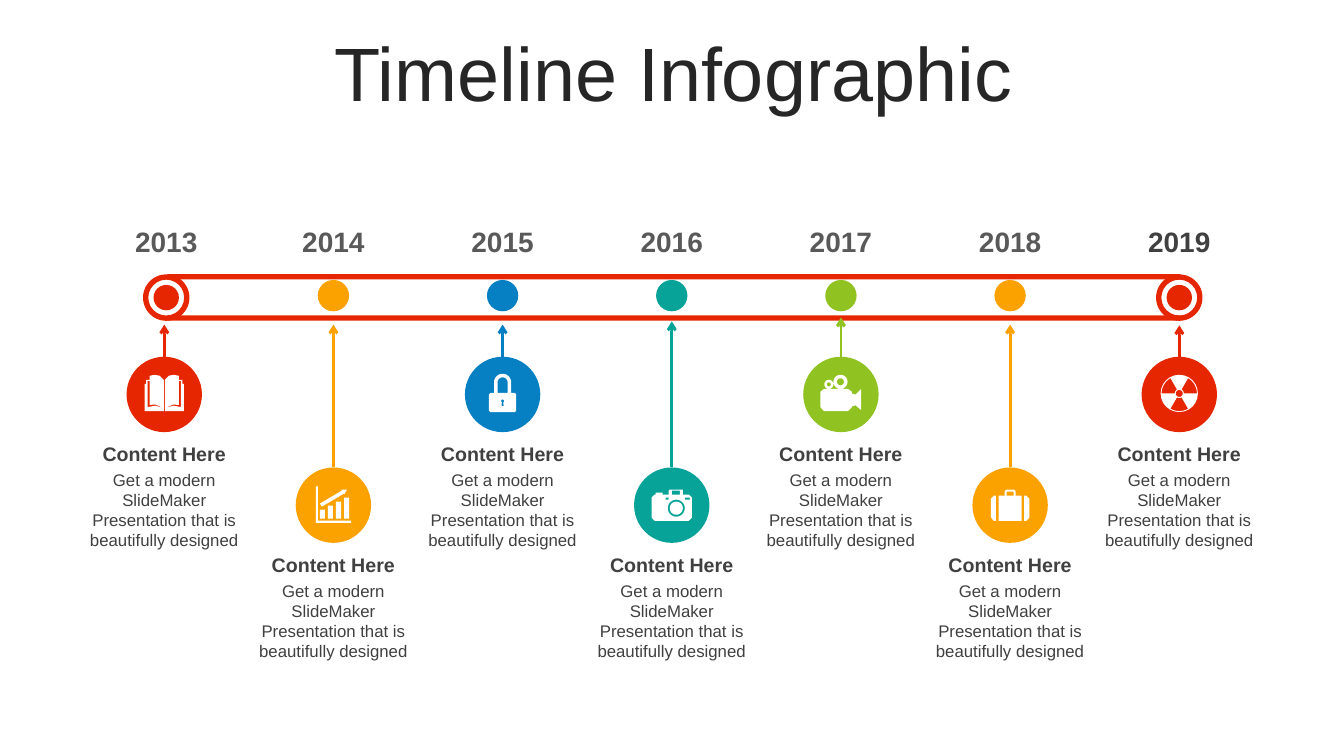
from dataclasses import dataclass
from math import cos, radians, sin

from lxml.etree import SubElement
from pptx import Presentation
from pptx.dml.color import RGBColor
from pptx.enum.shapes import MSO_CONNECTOR, MSO_SHAPE
from pptx.enum.text import MSO_ANCHOR, MSO_AUTO_SIZE, PP_ALIGN
from pptx.oxml.ns import qn
from pptx.util import Cm, Pt


@dataclass(frozen=True)
class Theme:
    """Colours, font and type sizes of the deck."""
    font: str = "Arial"
    red: str = "E62601"
    orange: str = "FBA200"
    blue: str = "0680C3"
    teal: str = "07A398"
    green: str = "90C221"
    white: str = "FFFFFF"
    title: str = "262626"
    dark: str = "404040"
    grey: str = "595959"
    title_size: int = 54
    year_size: int = 20
    heading_size: int = 14
    body_size: int = 12


@dataclass(frozen=True)
class Box:
    """A region in centimetres."""
    left: float
    top: float
    width: float
    height: float

    def lengths(self):
        """Return the region as slide lengths."""
        return Cm(self.left), Cm(self.top), Cm(self.width), Cm(self.height)


@dataclass(frozen=True)
class Stage:
    """One year of the timeline."""
    year: str
    color: str
    icon: list
    low: bool = False
    end: bool = False
    tip: float = 2.67
    shift: float = 0
    year_color: str = Theme.grey


THEME = Theme()
ICON_UNIT = Cm(0.0254)
LOW_DROP = 2.79
HEADING = "Content Here"
BODY = "Get a modern SlideMaker Presentation that is beautifully designed"


def arc(x, y, radius, start, stop, steps=24):
    """Return points along an arc, with angles in degrees."""
    angles = [radians(start + (stop - start) * i / steps) for i in range(steps + 1)]
    return [(x + radius * cos(a), y + radius * sin(a)) for a in angles]


def ring(x, y, radius):
    """Return a closed circular contour."""
    return arc(x, y, radius, 0, 360)


def bar(left, top, width, height):
    """Return a rectangular contour."""
    right, bottom = left + width, top + height
    return [(left, top), (right, top), (right, bottom), (left, bottom)]


def mirrored(*contours):
    """Return the contours with their reflections across the vertical axis."""
    return [*contours, *[[(-x, y) for x, y in contour] for contour in contours]]


BOOK = mirrored(
    [(-19.5, -10.5), (-18, -10.5), (-18, -14.5), (-14.5, -14.5), (-14.5, -18.5),
     (-9.5, -19.5), (-4.5, -18.5), (-0.5, -14.5), (-0.5, 16.5), (-19.5, 16.5)],
    [(-16.5, -13.5), (-14.5, -13.5), (-14.5, 10.5), (-9, 10), (-0.5, 13.5),
     (-9, 11.2), (-16.5, 12.5)])
CHART = [
    *[bar(-13.5 + 8 * i, 4.5 - 4 * i, 5, 9 + 4 * i) for i in range(4)],
    [(7.5, -15.5), (13.5, -15.5), (10.5, -10.5), (10.5, -11.5), (-11.5, 1.5),
     (-13.5, -1.5), (8.5, -14.5)],
    [(-17.5, -18.5), (-15.5, -18.5), (-15.5, 15.5), (17.5, 15.5), (17.5, 17.5),
     (-17.5, 17.5)]]
LOCK = [
    [(-8.5, -1.5), *arc(0, -12, 8.5, 180, 360), (8.5, -1.5), (12, -1.5), (13.5, 0),
     (13.5, 16), (12, 17.5), (-12, 17.5), (-13.5, 16), (-13.5, 0), (-12, -1.5)],
    [(-5, -1.5), *arc(0, -12, 5, 180, 360), (5, -1.5)],
    [*arc(0, 6.5, 1.5, 120, 420), (1, 11.5), (-1, 11.5)]]
CAMERA = [
    [(-2, -15.5), (11, -15.5), (11, -10.5), (17, -10.5), (20, -7.5), (20, 12.5),
     (17, 15.5), (-17, 15.5), (-20, 12.5), (-20, -7.5), (-17, -10.5), (-16, -10.5),
     (-16, -12.5), (-9, -12.5), (-9, -10.5), (-3, -10.5), (-3, -14.5)],
    ring(4.5, 3, 8.5), ring(4.5, 3, 6.5),
    bar(-6, -7.5, 3, 2), bar(13, -7.5, 5, 2), bar(0, -14.5, 8, 4)]
VIDEO = [
    ring(-12, -10, 4.5), ring(-12, -10, 2), ring(-0.5, -12.5, 7), ring(-0.5, -12.5, 3.5),
    [(-17, -5.5), (7, -5.5), (11, -2.5), (11, -0.5), (13, -0.5), (14, 0.5), (20, -5.5),
     (20, 15.5), (14, 10.5), (13, 11.5), (11, 11.5), (11, 12.5), (7, 16.5), (-17, 16.5),
     (-20.5, 12.5), (-20.5, -2.5)]]
SUITCASE = [
    *mirrored([(14, -9.5), (16, -9.5), (19, -6.5), (19, 12.5), (16, 15.5), (14, 15.5)]),
    [(-4, -15.5), (4, -15.5), (5.5, -13.5), (5.5, -9.5), (11.5, -9.5), (11.5, 15.5),
     (-11.5, 15.5), (-11.5, -9.5), (-5.5, -9.5), (-5.5, -13.5)],
    bar(-3.5, -13.5, 7, 4)]
RADIATION = [
    ring(0, -1, 18.5), ring(0, -1, 3.5),
    *[arc(0, -1, 17.5, a, a + 60) + arc(0, -1, 4.5, a + 60, a) for a in (60, 180, 300)]]

STAGES = [
    Stage("2013", THEME.red, BOOK, end=True, shift=0.05),
    Stage("2014", THEME.orange, CHART, low=True),
    Stage("2015", THEME.blue, LOCK),
    Stage("2016", THEME.teal, CAMERA, low=True, tip=2.59),
    Stage("2017", THEME.green, VIDEO, tip=2.49),
    Stage("2018", THEME.orange, SUITCASE, low=True),
    Stage("2019", THEME.red, RADIATION, end=True, tip=2.69, year_color=THEME.dark)]


def write(frame, text, *, size, color, bold=False, anchor=MSO_ANCHOR.MIDDLE,
          fit=MSO_AUTO_SIZE.SHAPE_TO_FIT_TEXT, spacing=1.0):
    """Put centred text into a frame with the given format."""
    frame.word_wrap = True
    frame.auto_size = fit
    frame.vertical_anchor = anchor
    para = frame.paragraphs[0]
    para.alignment = PP_ALIGN.CENTER
    para.line_spacing = spacing
    span = para.add_run()
    span.text = text
    span.font.name = THEME.font
    span.font.size = Pt(size)
    span.font.bold = bold
    span.font.color.rgb = RGBColor.from_string(color)


def paint(shape, color):
    """Give a shape a plain fill without line or shadow."""
    shape.shadow.inherit = False
    shape.fill.solid()
    shape.fill.fore_color.rgb = RGBColor.from_string(color)
    shape.line.fill.background()
    return shape


def add_round(page, x, y, size, color, kind=MSO_SHAPE.OVAL):
    """Add a round shape centred on a point."""
    box = Box(x - size / 2, y - size / 2, size, size)
    return paint(page.shapes.add_shape(kind, *box.lengths()), color)


def add_icon(page, x, y, contours):
    """Draw a white icon centred on a point."""
    scaled = [[(px * ICON_UNIT, py * ICON_UNIT) for px, py in c] for c in contours]
    builder = page.shapes.build_freeform(*scaled[0][0])
    for contour in scaled:
        builder.move_to(*contour[0])
        builder.add_line_segments(contour[1:], close=True)
    paint(builder.convert_to_shape(Cm(x), Cm(y)), THEME.white)


def add_arrow(page, circle, x, tip, color):
    """Join the top of a circle to the timeline with an arrow."""
    arrow = page.shapes.add_connector(MSO_CONNECTOR.STRAIGHT, Cm(x), Cm(tip), Cm(x), Cm(tip))
    arrow.begin_connect(circle, 0)
    arrow.line.color.rgb = RGBColor.from_string(color)
    arrow.line.width = Pt(2)
    SubElement(arrow.line._get_or_add_ln(), qn("a:tailEnd"), type="arrow")
    SubElement(arrow._element.spPr, qn("a:effectLst"))


def add_stage(page, stage, box):
    """Place the year, marker, arrow, icon and text of one stage."""
    x = box.left + box.width / 2
    marker_x = x + stage.shift
    year = page.shapes.add_textbox(*Box(marker_x - 1.3, box.top, 2.6, 1.12).lengths())
    write(year.text_frame, stage.year, size=THEME.year_size, color=stage.year_color, bold=True)
    if stage.end:
        donut = add_round(page, marker_x, box.top + 1.99, 1.17, stage.color, MSO_SHAPE.DONUT)
        donut.adjustments[0] = 0.114
        add_round(page, marker_x, box.top + 1.99, 0.64, stage.color)
    else:
        add_round(page, marker_x, box.top + 1.94, 0.79, stage.color)

    top = box.top + LOW_DROP * stage.low
    circle = add_round(page, x, top + 4.43, 1.9, stage.color)
    add_arrow(page, circle, x, box.top + stage.tip, stage.color)
    add_icon(page, x, top + 4.43, stage.icon)
    heading = page.shapes.add_textbox(*Box(box.left, top + 5.49, box.width, 0.86).lengths())
    write(heading.text_frame, HEADING, size=THEME.heading_size, color=THEME.dark, bold=True)
    body = page.shapes.add_textbox(*Box(box.left, top + 6.2, box.width, 2.31).lengths())
    write(body.text_frame, BODY, size=THEME.body_size, color=THEME.dark, anchor=MSO_ANCHOR.TOP)


def add_timeline(page, box):
    """Draw the rails and spread the stages evenly over the box."""
    column = 4.32
    pitch = (box.width - column) / (len(STAGES) - 1)
    for offset in (1.4, 2.44):
        rail = Box(box.left + 2.24, box.top + offset, pitch * (len(STAGES) - 1) - 0.05, 0.13)
        paint(page.shapes.add_shape(MSO_SHAPE.RECTANGLE, *rail.lengths()), THEME.red)
    for index, stage in enumerate(STAGES):
        add_stage(page, stage, Box(box.left + index * pitch, box.top, column, box.height))


def add_title(page, box):
    """Place the slide title."""
    title = page.shapes.title
    title.left, title.top, title.width, title.height = box.lengths()
    write(title.text_frame, "Timeline Infographic", size=THEME.title_size,
          color=THEME.title, fit=MSO_AUTO_SIZE.NONE, spacing=0.9)


def main():
    """Build the deck and save it."""
    deck = Presentation()
    deck.slide_width, deck.slide_height = Cm(33.87), Cm(19.05)
    page = deck.slides.add_slide(deck.slide_layouts[5])
    add_title(page, Box(0.89, 0.94, 32.16, 2.01))
    add_timeline(page, Box(1.98, 5.51, 29.9, 11.3))
    deck.save("out.pptx")


if __name__ == "__main__":
    main()
